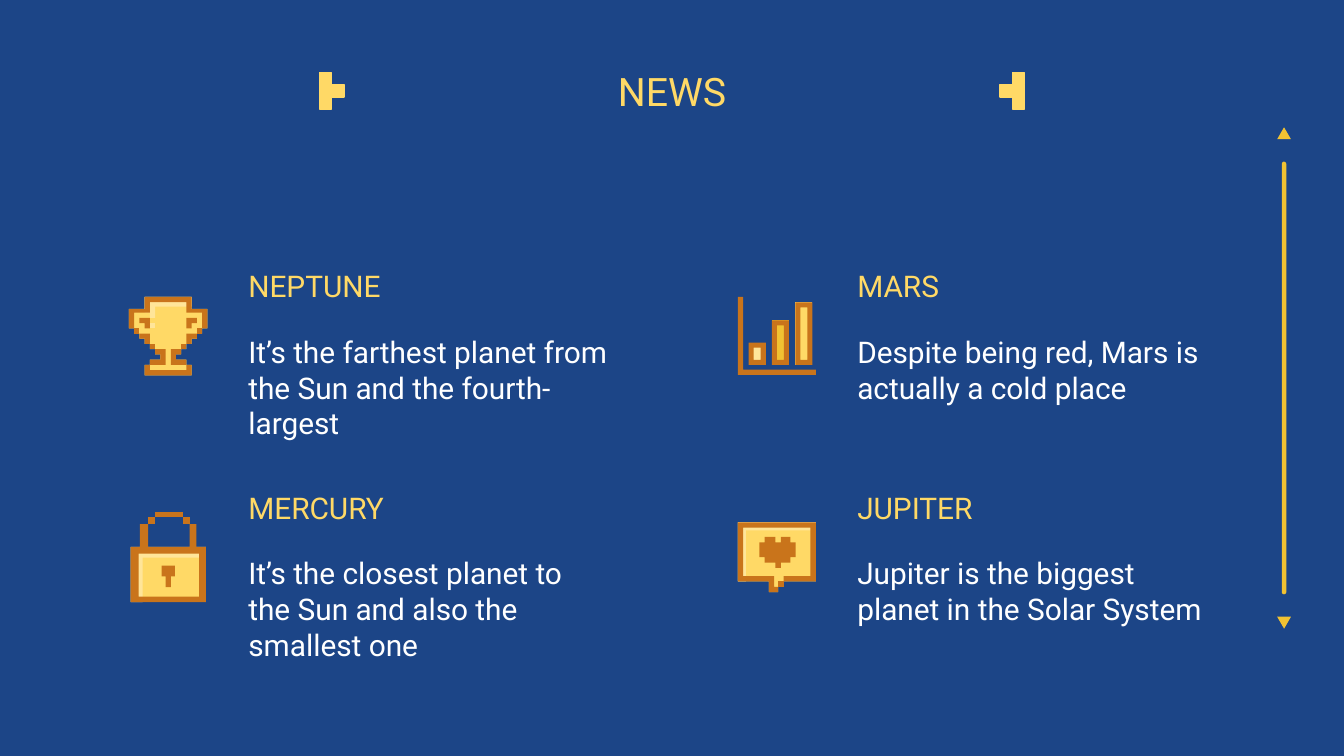
"""Build the news slide with four planets, pixel icons and a scroll bar."""
from pptx import Presentation
from pptx.dml.color import RGBColor
from pptx.enum.shapes import MSO_SHAPE
from pptx.enum.text import MSO_ANCHOR, PP_ALIGN
from pptx.util import Pt

BLUE = RGBColor(0x1C, 0x45, 0x87)
GOLD = RGBColor(0xFF, 0xD9, 0x66)
PALE = RGBColor(0xFF, 0xE5, 0x99)
AMBER = RGBColor(0xF1, 0xC2, 0x32)
BROWN = RGBColor(0xC9, 0x74, 0x1B)
WHITE = RGBColor(0xFF, 0xFF, 0xFF)
TOP, BOTTOM = MSO_ANCHOR.TOP, MSO_ANCHOR.BOTTOM
LEFT, CENTER = PP_ALIGN.LEFT, PP_ALIGN.CENTER
ROUND, ARROW = MSO_SHAPE.ROUNDED_RECTANGLE, MSO_SHAPE.ISOSCELES_TRIANGLE

deck = Presentation()
deck.slide_width, deck.slide_height = Pt(720), Pt(405)
slide = deck.slides.add_slide(deck.slide_layouts[6])
slide.background.fill.solid()
slide.background.fill.fore_color.rgb = BLUE
shapes = slide.shapes


def write(text, x, y, width, height, size=16, color=GOLD, anchor=BOTTOM, align=LEFT):
    """Add one line or paragraph of text."""
    frame = shapes.add_textbox(Pt(x), Pt(y), Pt(width), Pt(height)).text_frame
    frame.word_wrap = True
    frame.vertical_anchor = anchor
    frame.margin_left = frame.margin_right = Pt(7.2)
    frame.margin_top = frame.margin_bottom = Pt(7.2)
    par = frame.paragraphs[0]
    par.text, par.alignment = text, align
    font = par.font
    font.name, font.size, font.color.rgb = "Roboto", Pt(size), color


def draw(spot, unit, color, *rings, edge=False):
    """Fill outlines that step down or up, then sideways, to each next point."""
    pen = None
    for ring in rings:
        steps = []
        for (x, y), (new_x, new_y) in zip(ring, ring[1:] + ring[:1]):
            steps += [(x, y), (x, new_y)]
        steps = [(Pt(spot[0] + x * unit), Pt(spot[1] + y * unit)) for x, y in steps]
        if pen is None:
            pen = shapes.build_freeform(*steps[0], scale=1.0)
        else:
            pen.move_to(*steps[0])
        pen.add_line_segments(steps[1:], close=True)
    shape = pen.convert_to_shape()
    shape.shadow.inherit = False
    shape.fill.solid()
    shape.fill.fore_color.rgb = color
    if edge:
        shape.line.color.rgb, shape.line.width = color, Pt(0.75)
    else:
        shape.line.fill.background()


write("NEWS", 24.5, 23, 671, 45.4, size=21, align=CENTER)

planets = [
    ("NEPTUNE", "It’s the farthest planet from the Sun and the fourth-largest"),
    ("MARS", "Despite being red, Mars is actually a cold place"),
    ("MERCURY", "It’s the closest planet to the Sun and also the smallest one"),
    ("JUPITER", "Jupiter is the biggest planet in the Solar System"),
]
for i, (name, fact) in enumerate(planets):
    x, y = 126 + i % 2 * 326.2, 139 + i // 2 * 118.8
    write(name, x, y, 206.6, 31)
    write(fact, x, y + 32.4, 206.6, 58.3, color=WHITE, anchor=TOP)

chart, grid = (395.3, 159.1), 0.72
bars = [(8, 34, PALE), (25.3, 17.5, AMBER), (42.7, 4, GOLD)]
for x, y, color in bars:
    draw(chart, grid, color, [(x, y), (x + 12.7, 50.5)])
draw(chart, grid, BROWN, [(0, 0), (58, 58), (4, 54)])
for x, y, color in bars:
    draw(chart, grid, BROWN, [(x + 3.7, y + 3.7), (x + 9, 46.8)],
         [(x, y), (x + 12.7, 50.5)])

bubble = (395.3, 279.8)
draw(bubble, grid, GOLD, [(0, 0), (23, 44), (30, 52), (34, 48), (58, 44)])
draw(bubble, grid, PALE, [(0, 0), (6, 44), (58, 6)])
draw(bubble, grid, BROWN, [(20, 11), (16, 15), (20, 26), (28, 30), (32, 34),
                           (39, 30), (43, 26), (39, 15), (32, 11), (28, 15)])
draw(bubble, grid, BROWN, [(30, 44), (34, 48)])
draw(bubble, grid, BROWN, [(0, 0), (23, 44), (30, 52), (27, 48), (4, 40),
                           (54, 4), (34, 40), (58, 44)])

cup, cell = (69.1, 159.1), 2.8
draw(cup, cell, GOLD, [
    (3, 0), (0, 2.3), (1, 6), (2, 7), (3, 8), (4, 9), (5, 10), (6, 11), (4, 12),
    (3, 13), (12, 15), (11, 13), (9, 12), (10, 11), (11, 10), (12, 9), (13, 8),
    (14, 7), (15, 6), (12, 2.3)])
draw(cup, cell, PALE, [(3, 0), (4, 3), (5, 4), (12, 1.85)])
draw(cup, cell, PALE, [(3, 5), (5, 6)])
half = [
    [(4, 9), (5, 10)],
    [(5, 10), (6, 11), (4, 12), (7, 13)],
    [(1, 6), (2, 7)],
    [(2, 7), (3, 8), (4, 9)],
    [(2, 4), (3, 5), (4, 6)],
]
for ring in half:
    draw(cup, cell, BROWN, ring)
    draw(cup, cell, BROWN, [(15 - x, y) for x, y in ring])
draw(cup, cell, BROWN, [(3, 13), (12, 15), (11, 13), (4, 14)])
draw(cup, cell, BROWN, [(3, 0), (0, 2.3), (1, 6), (4, 3), (11, 1), (14, 3),
                        (15, 6), (12, 2.3)])

lock = (70, 274.3)
draw(lock, grid, GOLD, [(0, 26), (56, 67)])
draw(lock, grid, PALE, [(0, 26), (9, 67), (56, 34)])
draw(lock, grid, BROWN, [(18, 0), (39, 4)])
draw(lock, grid, BROWN, [(6, 31), (51, 63)],
     [(7, 9), (0, 26), (56, 67), (49, 26), (44, 9), (13, 26)])
for x in (13, 39):
    draw(lock, grid, BROWN, [(x, 4), (x + 5, 9)])
draw(lock, grid, BROWN, [(23, 40), (26, 48), (30, 56), (33, 48)])

for x, side in ((171.2, 1), (542.3, -1)):
    for col, row in ((0, 0), (0, 1), (0, 2), (1, 1)):
        draw((x + side * col * 6.5, 38.9 + row * 6.5), 6.5, GOLD,
             [(0, 0), (1, 1)], edge=True)

scroll = [
    (ROUND, 686.7, 86.6, 2.4, 231.8, 0),
    (ARROW, 684.2, 68.2, 7.4, 6.4, 0),
    (ARROW, 684.2, 330.4, 7.4, 6.4, 180),
]
for kind, x, y, width, height, turn in scroll:
    part = shapes.add_shape(kind, Pt(x), Pt(y), Pt(width), Pt(height))
    part.adjustments[0] = 0.5
    part.rotation = turn
    part.shadow.inherit = False
    part.fill.solid()
    part.fill.fore_color.rgb = AMBER
    part.line.fill.background()

deck.save("out.pptx")
